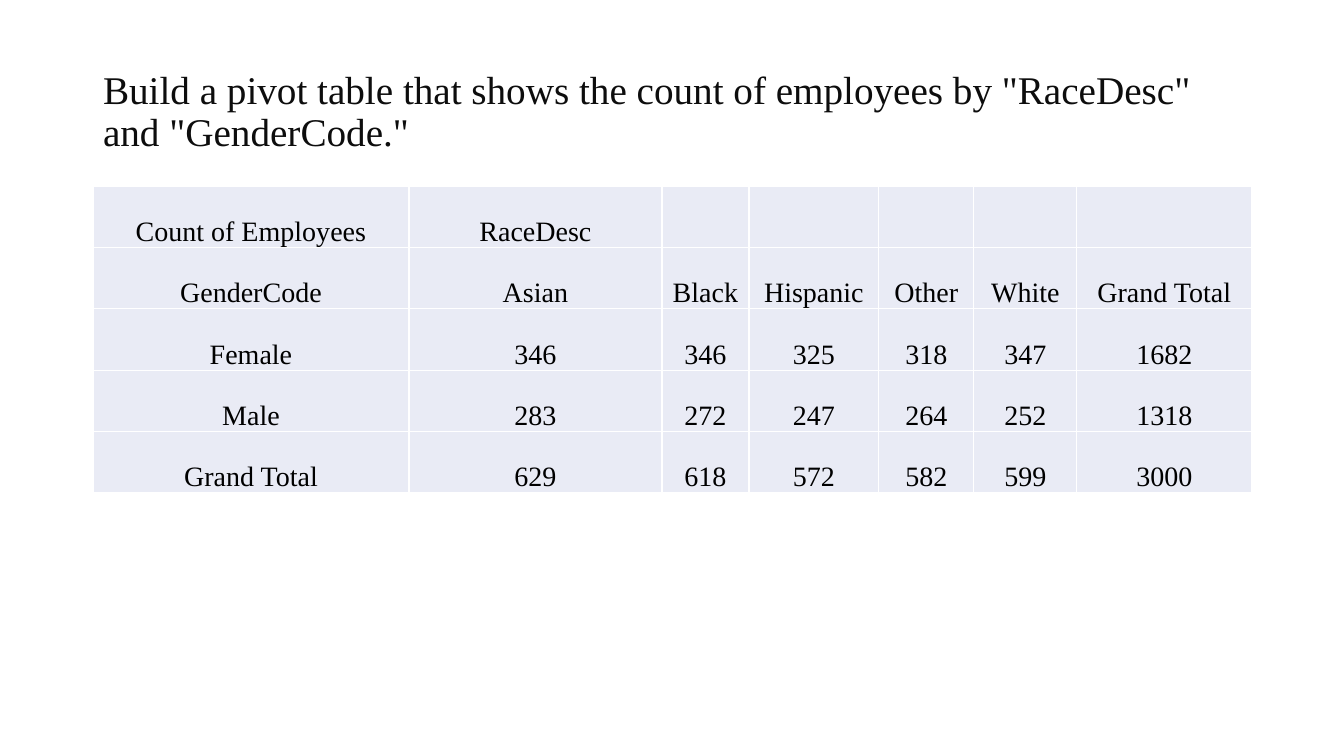
"""Build a slide with a pivot table of employees by race and gender."""
from lxml.etree import SubElement
from pptx import Presentation
from pptx.dml.color import RGBColor
from pptx.enum.text import MSO_ANCHOR, MSO_AUTO_SIZE, PP_ALIGN
from pptx.oxml.ns import qn
from pptx.util import Emu, Pt

COLORS = {"title": "0D0D0D", "text": "000000", "cell": "E9EBF5", "border": "FFFFFF"}
FONT = "Times New Roman"
COLUMN_WIDTHS = [316, 253, 87, 130, 95, 103, 175]
PIVOT = [
    ["Count of Employees", "RaceDesc", "", "", "", "", ""],
    ["GenderCode", "Asian", "Black", "Hispanic", "Other", "White", "Grand Total"],
    ["Female", 346, 346, 325, 318, 347, 1682],
    ["Male", 283, 272, 247, 264, 252, 1318],
    ["Grand Total", 629, 618, 572, 582, 599, 3000],
]


def px(length):
    return Emu(round(length * 914400 / 100.8))


def format_text(paragraph, size, color, align):
    paragraph.alignment = align
    for name, value in {"name": FONT, "size": Pt(size), "bold": False}.items():
        setattr(paragraph.font, name, value)
    paragraph.font.color.rgb = RGBColor.from_string(COLORS[color])


presentation = Presentation()
presentation.slide_width, presentation.slide_height = px(1344), px(756)
slide = presentation.slides.add_slide(presentation.slide_layouts[5])

question = slide.shapes.title
question_place = {"left": px(93), "top": px(40), "width": px(1159), "height": px(146)}
for name, value in question_place.items():
    setattr(question, name, value)
question.text = 'Build a pivot table that shows the count of employees by "RaceDesc" and "GenderCode."'
frame_format = {"vertical_anchor": MSO_ANCHOR.MIDDLE, "word_wrap": True, "auto_size": MSO_AUTO_SIZE.NONE}
for name, value in frame_format.items():
    setattr(question.text_frame, name, value)
question_line = question.text_frame.paragraphs[0]
question_line.line_spacing = 0.9
format_text(question_line, 28, "title", PP_ALIGN.LEFT)

pivot = slide.shapes.add_table(
    len(PIVOT), len(COLUMN_WIDTHS), px(93), px(186), px(sum(COLUMN_WIDTHS)), px(307)
).table
pivot.first_row = pivot.horz_banding = False
for column, width in zip(pivot.columns, COLUMN_WIDTHS):
    column.width = px(width)

cell_format = {
    "vertical_anchor": MSO_ANCHOR.BOTTOM,
    "margin_left": px(1),
    "margin_right": px(1),
    "margin_top": px(1),
    "margin_bottom": px(0),
}
for row, counts in enumerate(PIVOT):
    for col, count in enumerate(counts):
        cell = pivot.cell(row, col)
        cell.text = str(count)
        for name, value in cell_format.items():
            setattr(cell, name, value)
        format_text(cell.text_frame.paragraphs[0], 20, "text", PP_ALIGN.CENTER)
        properties = cell._tc.get_or_add_tcPr()
        for side in ("a:lnL", "a:lnR", "a:lnT", "a:lnB"):
            border = SubElement(properties, qn(side), w=str(Pt(1)))
            border_fill = SubElement(border, qn("a:solidFill"))
            SubElement(border_fill, qn("a:srgbClr"), val=COLORS["border"])
        cell.fill.solid()
        cell.fill.fore_color.rgb = RGBColor.from_string(COLORS["cell"])

presentation.save("out.pptx")
